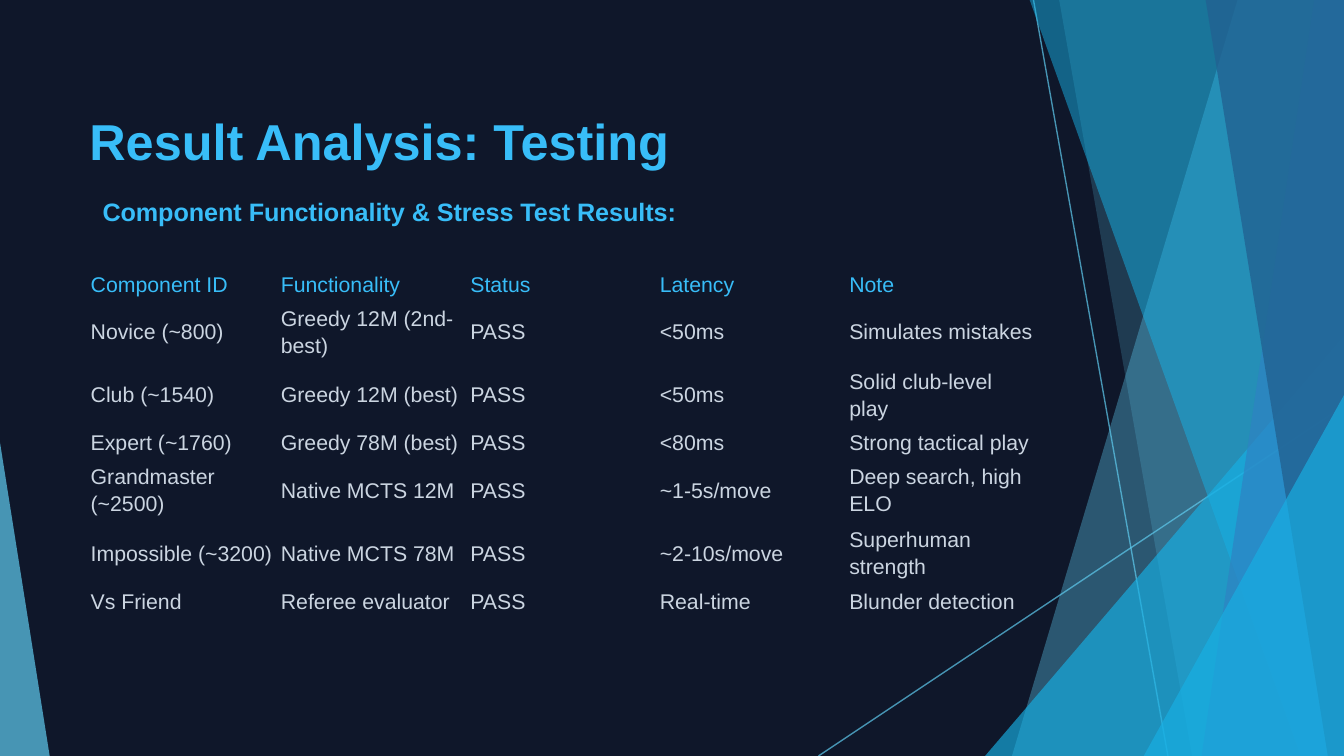
from dataclasses import dataclass
from typing import NamedTuple

from lxml.etree import SubElement
from pptx import Presentation
from pptx.dml.color import RGBColor
from pptx.enum.shapes import MSO_CONNECTOR, MSO_SHAPE
from pptx.enum.text import MSO_ANCHOR, MSO_AUTO_SIZE, PP_ALIGN
from pptx.oxml.ns import qn
from pptx.util import Pt

EMU_PER_PX = 4572  # 200 px to the inch
SLIDE_W, SLIDE_H = 2000, 1125
NO_STYLE_NO_GRID = "{2D5ABB26-0587-4C30-8999-92F81FD0307C}"


@dataclass(frozen=True)
class Theme:
    background: str = "0F172A"
    accent: str = "38BDF8"
    body: str = "CBD5E1"
    pale: str = "5FCBEF"
    bright: str = "17B0E4"
    blue: str = "2E83C3"
    deep: str = "226292"
    font: str = "Arial"
    title_size: float = 27
    subtitle_size: float = 13.5
    table_size: float = 11.4
    line_width: float = 0.75


THEME = Theme()


class Ray(NamedTuple):
    start: tuple[int, int]
    end: tuple[int, int]


class Shard(NamedTuple):
    """A band down the right edge, slanting from top_x to bottom_x."""
    top_x: int
    bottom_x: int
    color: str
    opacity: int


class Wedge(NamedTuple):
    """A right-angled triangle standing on the slide's bottom edge."""
    left: int
    top: int
    width: int
    apex: int
    color: str
    opacity: int


RAYS = [Ray((1538, 0), (1738, SLIDE_H)), Ray((SLIDE_W, 604), (1218, SLIDE_H))]
FACETS = [
    Shard(1842, 1506, THEME.pale, 36),
    Shard(1576, 1774, THEME.pale, 20),
    Wedge(1466, 500, 534, 1, THEME.bright, 66),
    Shard(1532, 1936, THEME.bright, 50),
    Shard(1956, 1788, THEME.blue, 70),
    Shard(1794, 1976, THEME.deep, 80),
    Wedge(1702, 588, 298, 1, THEME.bright, 66),
    Wedge(0, 658, 74, 0, THEME.pale, 70),
]

RESULTS = [
    ("Component ID", "Functionality", "Status", "Latency", "Note"),
    ("Novice (~800)", "Greedy 12M (2nd-best)", "PASS", "<50ms", "Simulates mistakes"),
    ("Club (~1540)", "Greedy 12M (best)", "PASS", "<50ms", "Solid club-level play"),
    ("Expert (~1760)", "Greedy 78M (best)", "PASS", "<80ms", "Strong tactical play"),
    ("Grandmaster (~2500)", "Native MCTS 12M", "PASS", "~1-5s/move", "Deep search, high ELO"),
    ("Impossible (~3200)", "Native MCTS 78M", "PASS", "~2-10s/move", "Superhuman strength"),
    ("Vs Friend", "Referee evaluator", "PASS", "Real-time", "Blunder detection"),
]
COLUMN_WIDTHS = [283, 282, 282, 282, 282]
SINGLE_ROW, DOUBLE_ROW = 48, 94
TWO_LINE_ROWS = {1, 2, 4, 5}


def px(length: int) -> int:
    return length * EMU_PER_PX


def set_opacity(fill, percent: int) -> None:
    color = fill._xPr.find(".//" + qn("a:srgbClr"))
    SubElement(color, qn("a:alpha"), val=str(percent * 1000))


def write(frame, text: str, *, size: float, color: str, bold: bool = False,
          spacing=1.15, after: float = 8) -> None:
    frame.word_wrap = True
    paragraph = frame.paragraphs[0]
    paragraph.alignment = PP_ALIGN.LEFT
    paragraph.line_spacing = spacing
    paragraph.space_before = Pt(0)
    paragraph.space_after = Pt(after)
    run = paragraph.add_run()
    run.text = text
    run.font.name = THEME.font
    run.font.size = Pt(size)
    run.font.bold = bold
    run.font.color.rgb = RGBColor.from_string(color)


def draw_ray(shapes, ray: Ray) -> None:
    line = shapes.add_connector(MSO_CONNECTOR.STRAIGHT,
                                *map(px, ray.start + ray.end))
    line.line.color.rgb = RGBColor.from_string(THEME.pale)
    line.line.width = Pt(THEME.line_width)
    set_opacity(line.line.fill, 70)
    SubElement(line._element.spPr, qn("a:effectLst"))


def draw_facet(shapes, facet: Shard | Wedge) -> None:
    if isinstance(facet, Shard):
        outline = shapes.build_freeform(facet.top_x, -1, scale=EMU_PER_PX)
        outline.add_line_segments([(SLIDE_W, -1), (SLIDE_W, SLIDE_H),
                                   (facet.bottom_x, SLIDE_H)], close=True)
        shape = outline.convert_to_shape()
    else:
        shape = shapes.add_shape(MSO_SHAPE.ISOSCELES_TRIANGLE, px(facet.left), px(facet.top),
                                 px(facet.width), px(SLIDE_H - facet.top))
        shape.adjustments[0] = facet.apex
    shape.shadow.inherit = False
    shape.line.fill.background()
    shape.fill.solid()
    shape.fill.fore_color.rgb = RGBColor.from_string(facet.color)
    set_opacity(shape.fill, facet.opacity)


def draw_results(shapes) -> None:
    heights = [DOUBLE_ROW if i in TWO_LINE_ROWS else SINGLE_ROW
               for i in range(len(RESULTS))]
    holder = shapes.add_table(len(RESULTS), len(COLUMN_WIDTHS), px(133), px(397),
                              px(sum(COLUMN_WIDTHS)), px(sum(heights)))
    results = holder.table
    results.horz_banding = False
    holder._element.find(".//" + qn("a:tableStyleId")).text = NO_STYLE_NO_GRID
    for column, width in zip(results.columns, COLUMN_WIDTHS):
        column.width = px(width)
    for index, (row, height, values) in enumerate(zip(results.rows, heights, RESULTS)):
        row.height = px(height)
        for cell, value in zip(row.cells, values):
            cell.fill.background()
            cell.vertical_anchor = MSO_ANCHOR.MIDDLE
            cell.margin_left = cell.margin_right = px(2)
            cell.margin_top = cell.margin_bottom = px(2)
            write(cell.text_frame, value, size=THEME.table_size,
                  color=THEME.body if index else THEME.accent)


def main() -> None:
    deck = Presentation()
    deck.slide_width, deck.slide_height = px(SLIDE_W), px(SLIDE_H)
    slide = deck.slides.add_slide(deck.slide_layouts[5])
    shapes = slide.shapes
    slide.background.fill.solid()
    slide.background.fill.fore_color.rgb = RGBColor.from_string(THEME.background)

    # Faceted backdrop
    for ray in RAYS:
        draw_ray(shapes, ray)
    for facet in FACETS:
        draw_facet(shapes, facet)

    # Title, brought in front of the backdrop
    title = shapes.title
    shapes._spTree.append(title._element)
    title.left, title.top, title.width, title.height = map(px, (133, 134, 1768, 90))
    frame = title.text_frame
    frame.auto_size = MSO_AUTO_SIZE.NONE
    frame.vertical_anchor = MSO_ANCHOR.TOP
    frame.margin_left = frame.margin_right = frame.margin_top = frame.margin_bottom = 0
    write(frame, "Result Analysis: Testing", size=THEME.title_size,
          color=THEME.accent, bold=True, spacing=Pt(43.2), after=0)

    # Test results
    draw_results(shapes)

    # Subtitle
    subtitle = shapes.add_textbox(*map(px, (133, 276, 912, 68)))
    subtitle.text_frame.auto_size = MSO_AUTO_SIZE.SHAPE_TO_FIT_TEXT
    write(subtitle.text_frame, "Component Functionality & Stress Test Results:",
          size=THEME.subtitle_size, color=THEME.accent, bold=True)

    deck.save("out.pptx")


if __name__ == "__main__":
    main()
